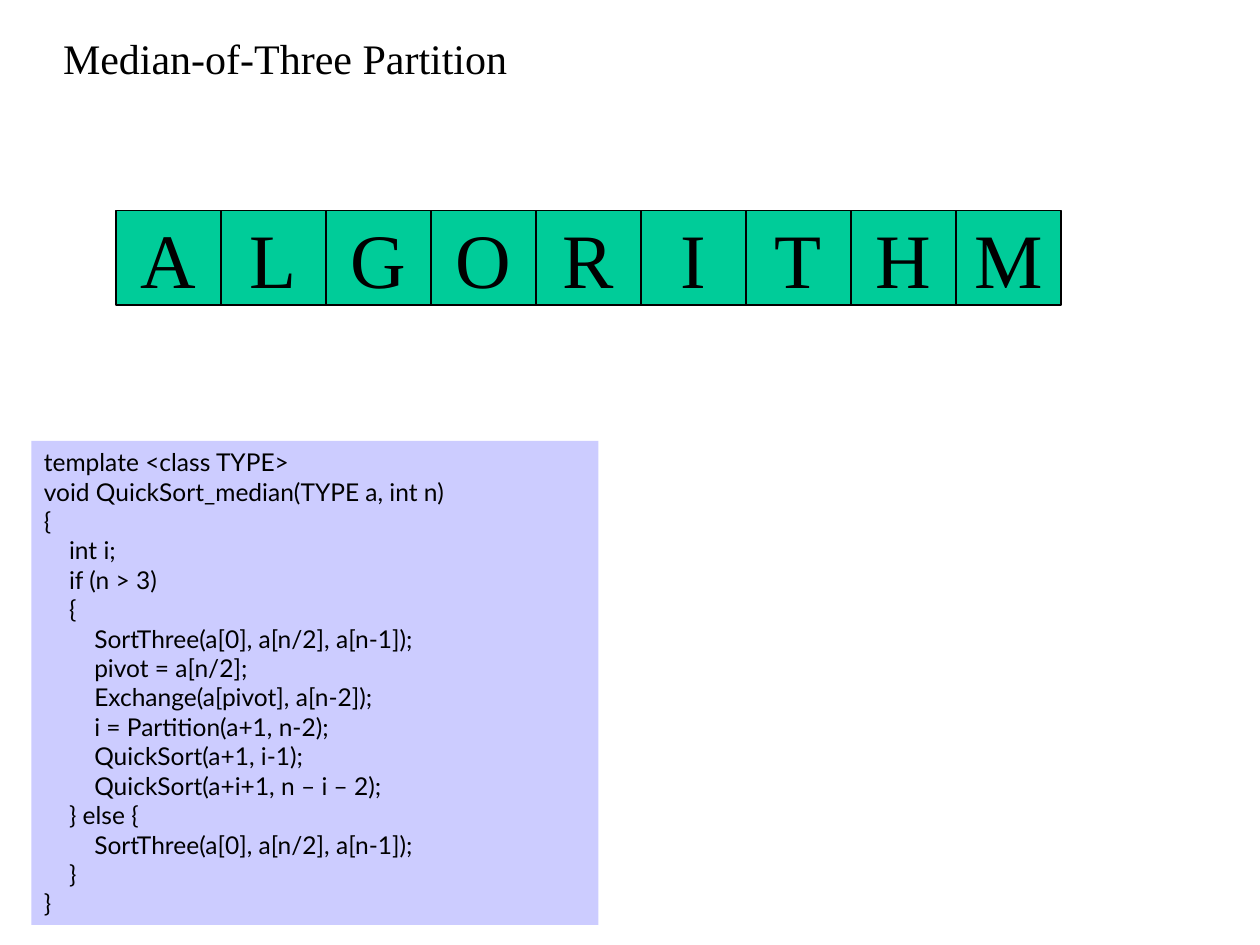
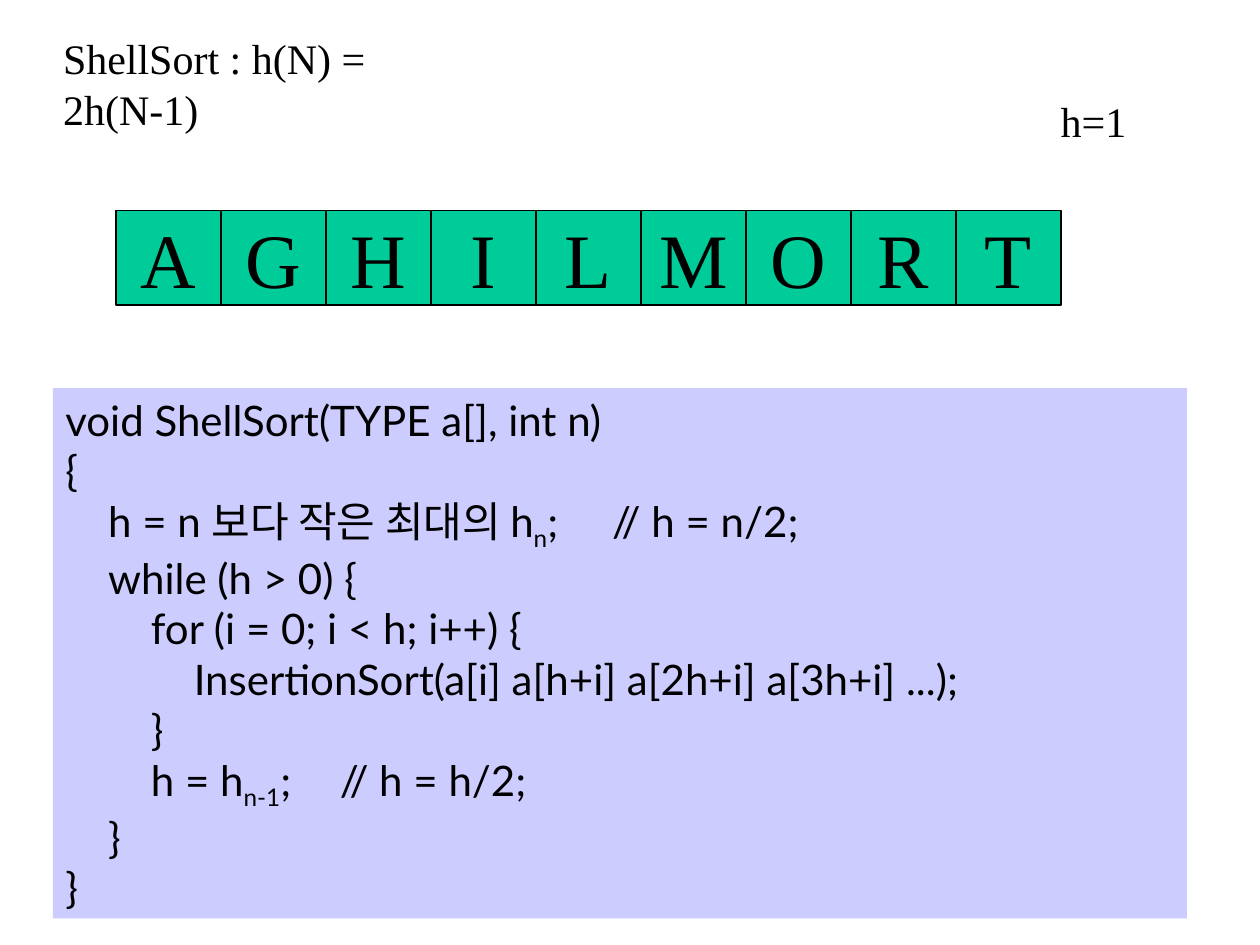
from pptx import Presentation
from pptx import util as u
from pptx.dml.color import RGBColor
from pptx.enum import shapes, text
from pptx.oxml.ns import qn
from lxml import etree

BLACK, GREEN, LILAC = "000000", "00CC99", "CCCCFF"
SERIF, SANS = "Times New Roman", "Lato"
CELL_LEFT, CELL_TOP, CELL_W, CELL_H = 0.92, 1.67, 5 / 6, 0.75

# Code lines: (indent level, text); ^...^ is a subscript, a tab leads to the remark
MEDIAN_CODE = [
    (0, "template <class TYPE>"),
    (0, "void QuickSort_median(TYPE a, int n)"),
    (0, "{"),
    (1, "int i;"),
    (1, "if (n > 3)"),
    (1, "{"),
    (2, "SortThree(a[0], a[n/2], a[n-1]);"),
    (2, "pivot = a[n/2];"),
    (2, "Exchange(a[pivot], a[n-2]);"),
    (2, "i = Partition(a+1, n-2);"),
    (2, "QuickSort(a+1, i-1);"),
    (2, "QuickSort(a+i+1, n – i – 2);"),
    (1, "} else {"),
    (2, "SortThree(a[0], a[n/2], a[n-1]);"),
    (1, "}"),
    (0, "}"),
]
SHELL_CODE = [
    (0, "void ShellSort(TYPE a[], int n)"),
    (0, "{"),
    (1, "h = n 보다 작은 최대의 h^n^;\t// h = n/2;"),
    (1, "while (h > 0) {"),
    (2, "for (i = 0; i < h; i++) {"),
    (3, "InsertionSort(a[i] a[h+i] a[2h+i] a[3h+i] ...);"),
    (2, "}"),
    (2, "h = h^n-1^;\t// h = h/2;"),
    (1, "}"),
    (0, "}"),
]

# title, letters, code, code box, code size, indent step, remark tabs by line, label
SLIDES = [
    ("Median-of-Three Partition", "ALGORITHM", MEDIAN_CODE,
     (0.25, 3.5, 4.5, 3.84), 14, 0.2, {}, None),
    ("ShellSort : h(N) = 2h(N-1)", "AGHILMORT", SHELL_CODE,
     (0.42, 3.08, 9, 4.21), 24, 0.34, {2: 4.4, 7: 2.15}, "h=1"),
]


def style(font, name, size, color=BLACK):
    font.name, font.size = name, u.Pt(size)
    font.color.rgb = RGBColor.from_string(color)


def add_box(s, box, fill):
    sp = s.shapes.add_shape(shapes.MSO_SHAPE.RECTANGLE, *map(u.Inches, box))
    sp.shadow.inherit = False
    sp.fill.solid()
    sp.fill.fore_color.rgb = RGBColor.from_string(fill)
    return sp


prs = Presentation()
prs.slide_width, prs.slide_height = u.Inches(10), u.Inches(7.5)

for title, letters, code, code_box, size, step, tabs, label in SLIDES:
    s = prs.slides.add_slide(prs.slide_layouts[5])

    # Title, and the label beside it where there is one
    sp = s.shapes.title
    sp.left, sp.top, sp.width, sp.height = map(u.Inches, (0.4, 0.21, 3.75, 0.5))
    headings = [(sp, title)]
    if label:
        sp = s.shapes.add_textbox(*map(u.Inches, (8.32, 0.71, 0.72, 0.5)))
        headings.append((sp, label))
    for sp, words in headings:
        tf = sp.text_frame
        tf.text = words
        tf.word_wrap = False
        tf.auto_size = text.MSO_AUTO_SIZE.SHAPE_TO_FIT_TEXT
        tf.vertical_anchor = text.MSO_ANCHOR.TOP
        p = tf.paragraphs[0]
        p.alignment = text.PP_ALIGN.LEFT
        style(p.runs[0].font, SERIF, 24)

    # Array of letters
    for i, letter in enumerate(letters):
        sp = add_box(s, (CELL_LEFT + i * CELL_W, CELL_TOP, CELL_W, CELL_H), GREEN)
        sp.line.color.rgb = RGBColor.from_string(BLACK)
        sp.line.width = u.Pt(0.75)
        tf = sp.text_frame
        tf.text = letter
        tf.word_wrap = False
        p = tf.paragraphs[0]
        p.alignment = text.PP_ALIGN.CENTER
        style(p.runs[0].font, SERIF, 44)

    # Code panel
    sp = add_box(s, code_box, LILAC)
    sp.line.fill.background()
    tf = sp.text_frame
    tf.word_wrap = True
    tf.vertical_anchor = text.MSO_ANCHOR.TOP
    for i, (level, line) in enumerate(code):
        p = tf.paragraphs[0] if i == 0 else tf.add_paragraph()
        p.alignment = text.PP_ALIGN.LEFT
        pPr = p._p.get_or_add_pPr()
        pPr.set("marL", str(u.Inches(level * step)))
        pPr.set("indent", "0")
        if i in tabs:
            stops = etree.SubElement(pPr, qn("a:tabLst"))
            etree.SubElement(stops, qn("a:tab"), pos=str(u.Inches(tabs[i])), algn="l")
        for j, part in enumerate(line.split("^")):
            r = p.add_run()
            r.text = part
            style(r.font, SANS, size)
            if j % 2:
                r._r.get_or_add_rPr().set("baseline", "-25000")

prs.save("out.pptx")
